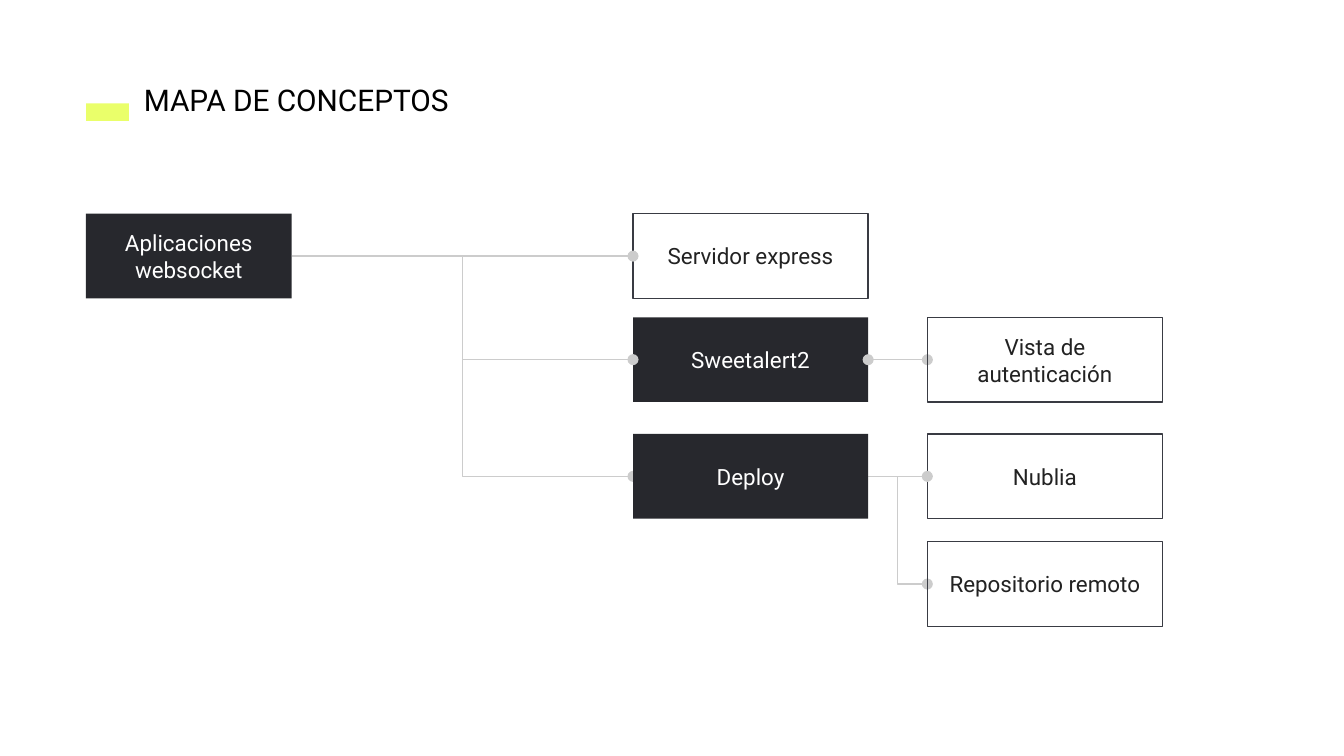
from dataclasses import dataclass

import pptx
import pptx.dml.color
import pptx.enum.shapes
import pptx.enum.text
import pptx.oxml.ns
import pptx.util
from lxml import etree

Pt = pptx.util.Pt
Kind = pptx.enum.shapes.MSO_CONNECTOR
FONT = "Roboto"
DARK, EDGE, GREY, LIME = "27282D", "393B43", "CCCCCC", "EAFF6A"
INK, WHITE, BLACK = "222222", "FFFFFF", "000000"
LEFT, MID, RIGHT = 46.1, 339.1, 496.8
ROWS = (114.5, 170, 232.5, 290.2)
TALL = 45.4


@dataclass
class Box:
    text: str
    left: float
    row: int
    dark: bool = False
    width: float = 126
    front: bool = False  # hides the dots of its links


@dataclass
class Link:
    start: str
    end: str
    kind: int = Kind.ELBOW
    head: bool = False


BOXES = [
    Box("Servidor express", MID, 0),
    Box("Aplicaciones websocket", LEFT, 0, True, 110.2),
    Box("Sweetalert2", MID, 1, True),
    Box("Vista de autenticación", RIGHT, 1, front=True),
    Box("Deploy", MID, 2, True, front=True),
    Box("Nublia", RIGHT, 2),
    Box("Repositorio remoto", RIGHT, 3, front=True),
]
LINKS = [
    Link("Deploy", "Repositorio remoto"),
    Link("Aplicaciones websocket", "Servidor express"),
    Link("Aplicaciones websocket", "Sweetalert2"),
    Link("Sweetalert2", "Vista de autenticación", Kind.STRAIGHT, True),
    Link("Aplicaciones websocket", "Deploy"),
    Link("Deploy", "Nublia"),
]


def rgb(code: str) -> pptx.dml.color.RGBColor:
    return pptx.dml.color.RGBColor.from_string(code)


def write(shape, text: str, size: float, tint: str) -> None:
    frame = shape.text_frame
    frame.margin_left = frame.margin_right = Pt(7.2)
    frame.margin_top = frame.margin_bottom = Pt(7.2)
    frame.word_wrap = True
    frame.text = text
    font = frame.paragraphs[0].runs[0].font
    font.name, font.size = FONT, Pt(size)
    font.color.rgb = rgb(tint)


def add_rect(slide, left: float, top: float, width: float, height: float,
             fill: str = "", line: str = ""):
    rect = slide.shapes.add_shape(pptx.enum.shapes.MSO_SHAPE.RECTANGLE,
                                  Pt(left), Pt(top), Pt(width), Pt(height))
    rect.shadow.inherit = False
    if fill:
        rect.fill.solid()
        rect.fill.fore_color.rgb = rgb(fill)
    else:
        rect.fill.background()
    if line:
        rect.line.color.rgb = rgb(line)
        rect.line.width = Pt(0.75)
    else:
        rect.line.fill.background()
    return rect


def add_box(slide, box: Box):
    rect = add_rect(slide, box.left, ROWS[box.row], box.width, TALL,
                    DARK if box.dark else "", "" if box.dark else EDGE)
    write(rect, box.text, 12, WHITE if box.dark else INK)
    rect.text_frame.vertical_anchor = pptx.enum.text.MSO_ANCHOR.MIDDLE
    rect.text_frame.paragraphs[0].alignment = pptx.enum.text.PP_ALIGN.CENTER
    return rect


def add_link(slide, link: Link, rects: dict) -> None:
    wire = slide.shapes.add_connector(link.kind, 0, 0, 0, 0)
    wire.begin_connect(rects[link.start], 3)
    wire.end_connect(rects[link.end], 1)
    wire.line.color.rgb = rgb(GREY)
    wire.line.width = Pt(0.75)
    # Round dots at the ends, no shadow
    name = pptx.oxml.ns.qn
    line = wire.line._get_or_add_ln()
    for tag in (["a:headEnd"] if link.head else []) + ["a:tailEnd"]:
        etree.SubElement(line, name(tag), type="oval")
    etree.SubElement(wire._element.spPr, name("a:effectLst"))


def main() -> None:
    deck = pptx.Presentation()
    deck.slide_width, deck.slide_height = Pt(720), Pt(405)
    slide = deck.slides.add_slide(deck.slide_layouts[6])

    # Title with its marker
    add_rect(slide, LEFT, 55.4, 23, 9.4, LIME)
    title = slide.shapes.add_textbox(Pt(70), Pt(36.7), Pt(193.7), Pt(33.8))
    write(title, "MAPA DE CONCEPTOS", 16, BLACK)

    # Concept boxes and their links
    rects = {box.text: add_box(slide, box) for box in BOXES}
    for link in LINKS:
        add_link(slide, link, rects)

    # Bring the front boxes above the links
    tree = slide.shapes._spTree
    for box in BOXES:
        if box.front:
            tree.append(rects[box.text]._element)

    deck.save("out.pptx")


if __name__ == "__main__":
    main()
